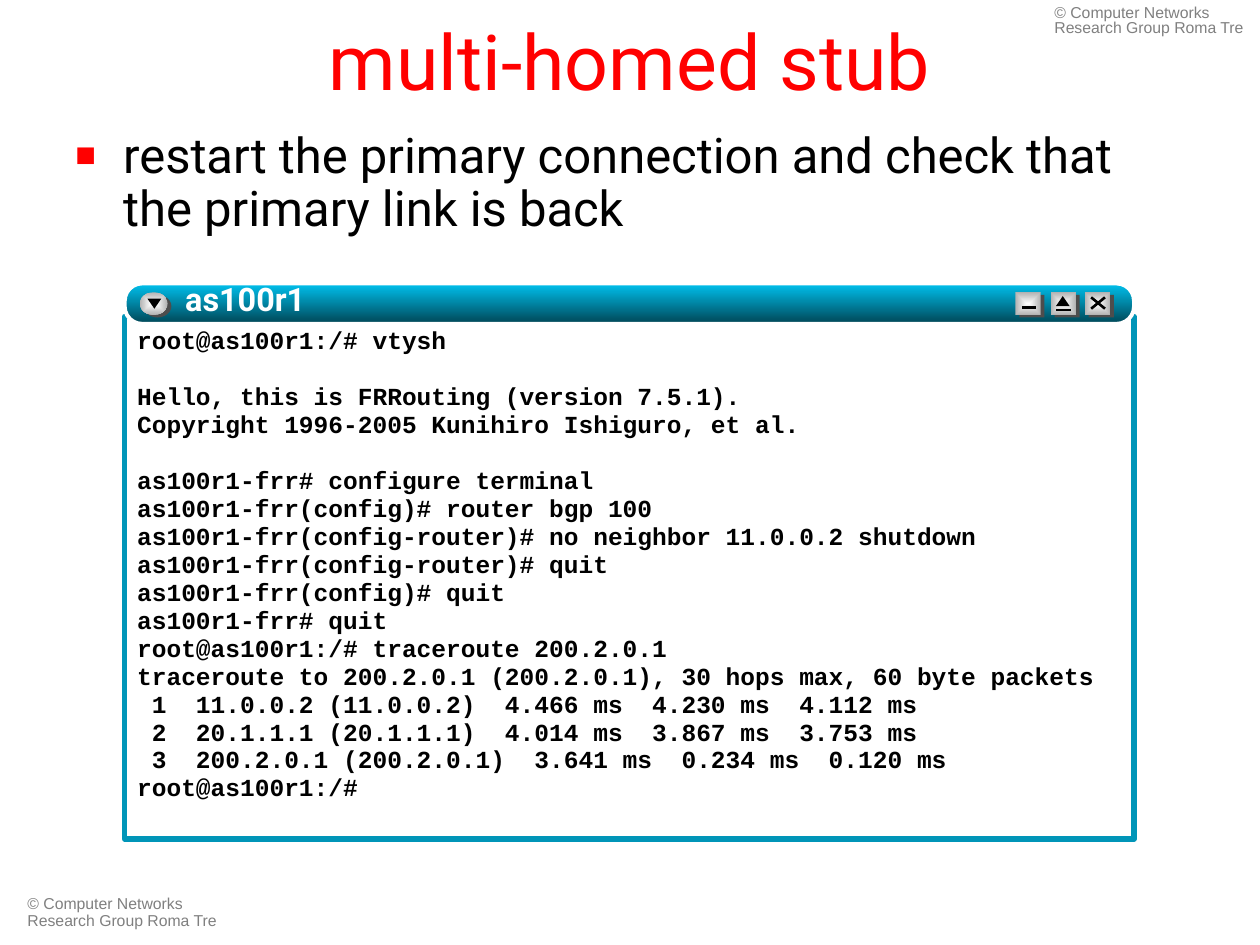
from lxml import etree
from pptx import Presentation
from pptx.dml.color import RGBColor
from pptx.enum.shapes import MSO_CONNECTOR, MSO_SHAPE as Shape
from pptx.enum.text import MSO_ANCHOR as Anchor, PP_ALIGN as Align
from pptx.oxml import parse_xml
from pptx.oxml.ns import nsdecls, qn
from pptx.util import Inches, Pt

RED = RGBColor(0xFF, 0x00, 0x00)
BLACK = RGBColor(0x00, 0x00, 0x00)
WHITE = RGBColor(0xFF, 0xFF, 0xFF)
GRAY = RGBColor(0x80, 0x80, 0x80)
DARK_GRAY = RGBColor(0x4D, 0x4D, 0x4D)
SILVER = RGBColor(0xB2, 0xB2, 0xB2)
TEAL = RGBColor(0x00, 0x95, 0xB8)
BAR_TOP = RGBColor(0x00, 0xC1, 0xEE)
BAR_BOTTOM = RGBColor(0x00, 0x46, 0x56)

CREDIT = "© Computer Networks Research Group Roma Tre"
TERMINAL_LINES = """root@as100r1:/# vtysh

Hello, this is FRRouting (version 7.5.1).
Copyright 1996-2005 Kunihiro Ishiguro, et al.

as100r1-frr# configure terminal
as100r1-frr(config)# router bgp 100
as100r1-frr(config-router)# no neighbor 11.0.0.2 shutdown
as100r1-frr(config-router)# quit
as100r1-frr(config)# quit
as100r1-frr# quit
root@as100r1:/# traceroute 200.2.0.1
traceroute to 200.2.0.1 (200.2.0.1), 30 hops max, 60 byte packets
 1  11.0.0.2 (11.0.0.2)  4.466 ms  4.230 ms  4.112 ms
 2  20.1.1.1 (20.1.1.1)  4.014 ms  3.867 ms  3.753 ms
 3  200.2.0.1 (200.2.0.1)  3.641 ms  0.234 ms  0.120 ms
root@as100r1:/#""".split("\n")


def add_filled(shapes, kind, box, *colors):
    """Add a borderless shape with a solid fill or a two-colour gradient."""
    shape = shapes.add_shape(kind, *map(Inches, box))
    shape.shadow.inherit = False
    shape.line.fill.background()
    if len(colors) == 1:
        shape.fill.solid()
        shape.fill.fore_color.rgb = colors[0]
    else:
        shape.fill.gradient()
        shape.fill.gradient_angle = 270
        for stop, color in zip(shape.fill.gradient_stops, colors):
            stop.color.rgb = color
    return shape


def add_text(shapes, box, text, font_name, size, color, spacing=1.0):
    """Add a wrapping text box that holds one run."""
    text_box = shapes.add_textbox(*map(Inches, box))
    text_box.text_frame.word_wrap = True
    paragraph = text_box.text_frame.paragraphs[0]
    paragraph.line_spacing = spacing
    run = paragraph.add_run()
    run.text = text
    run.font.name = font_name
    run.font.size = Pt(size)
    run.font.color.rgb = color
    return text_box


presentation = Presentation()
presentation.slide_width = Inches(10)
presentation.slide_height = Inches(7.5)
slide = presentation.slides.add_slide(presentation.slide_layouts[6])

# Credits at bottom left and top right
add_text(slide.shapes, (0.12, 7.06, 1.73, 0.36), CREDIT, "Arial", 9, GRAY, 0.9)
add_text(slide.shapes, (8.27, 0, 1.73, 0.36), CREDIT, "Arial", 9, GRAY, 0.8)

# Title
title = add_text(slide.shapes, (0.5, 0.05, 9, 0.85), "multi-homed stub", "Roboto", 44, RED)
title.text_frame.vertical_anchor = Anchor.MIDDLE
title.text_frame.paragraphs[0].alignment = Align.CENTER

# Bullet
body = add_text(slide.shapes, (0.5, 0.99, 9, 1.18),
                "restart the primary connection and check that the primary link is back",
                "Roboto", 28, BLACK, 0.9)
properties = body.text_frame.paragraphs[0]._p.get_or_add_pPr()
properties.set("marL", str(Inches(0.38)))
properties.set("indent", str(Inches(-0.38)))
bullet_color = etree.SubElement(properties, qn("a:buClr"))
etree.SubElement(bullet_color, qn("a:srgbClr"), val=str(RED))
etree.SubElement(properties, qn("a:buSzPct"), val="70000")
etree.SubElement(properties, qn("a:buFont"), typeface="Arial")
etree.SubElement(properties, qn("a:buChar"), char="■")

# Terminal window
window = slide.shapes.add_group_shape().shapes
terminal = add_filled(window, Shape.RECTANGLE, (0.99, 2.51, 8.01, 4.15), WHITE)
terminal.line.color.rgb = TEAL
terminal.line.width = Pt(3)
frame = terminal.text_frame
frame.word_wrap = True
frame.vertical_anchor = Anchor.TOP
frame.margin_top = Inches(0.09)
paragraph = frame.paragraphs[0]
for number, line in enumerate(TERMINAL_LINES):
    if not line:
        continue
    if number:
        paragraph = frame.add_paragraph()
        if not TERMINAL_LINES[number - 1]:
            paragraph.space_before = Pt(16)
    paragraph.alignment = Align.LEFT
    paragraph.line_spacing = 0.95
    run = paragraph.add_run()
    run.text = line
    run.font.name = "Courier New"
    run.font.size = Pt(14)
    run.font.bold = True
    run.font.color.rgb = BLACK

# Title bar
bar = add_filled(window, Shape.ROUNDED_RECTANGLE, (0.99, 2.25, 8.01, 0.32), BAR_TOP, BAR_BOTTOM)
bar.adjustments[0] = 0.43
bar.line.color.rgb = WHITE
bar.line.width = Pt(2.25)

# Buttons, each over its dark copy
for kind, left, width in ((Shape.OVAL, 1.11, 0.22), (Shape.RECTANGLE, 8.06, 0.2),
                          (Shape.RECTANGLE, 8.34, 0.2), (Shape.RECTANGLE, 8.61, 0.2)):
    add_filled(window, kind, (left + 0.03, 2.34, width, 0.18), DARK_GRAY)
    button = add_filled(window, kind, (left, 2.32, width, 0.18), WHITE, SILVER)
    linear = button._element.spPr.find(".//" + qn("a:lin"))
    linear.getparent().replace(linear, parse_xml(
        f'<a:path {nsdecls("a")} path="rect">'
        '<a:fillToRect l="50000" t="50000" r="50000" b="50000"/></a:path>'))

# Button symbols
menu = add_filled(window, Shape.ISOSCELES_TRIANGLE, (1.17, 2.37, 0.11, 0.08), BLACK)
menu.rotation = 180
add_filled(window, Shape.ISOSCELES_TRIANGLE, (8.38, 2.35, 0.11, 0.08), BLACK)
for ends in ((8.11, 2.44, 8.22, 2.44), (8.38, 2.46, 8.5, 2.46),
             (8.66, 2.45, 8.77, 2.36), (8.66, 2.36, 8.77, 2.45)):
    stroke = window.add_connector(MSO_CONNECTOR.STRAIGHT, *map(Inches, ends))
    stroke.line.color.rgb = BLACK
    stroke.line.width = Pt(1.5)
    etree.SubElement(stroke._element.spPr, qn("a:effectLst"))

# Window name with a text shadow
name = add_text(window, (1.47, 2.25, 2.6, 0.32), "as100r1", "Roboto", 18.5, WHITE, 0.9)
frame = name.text_frame
frame.margin_left = frame.margin_top = frame.margin_right = frame.margin_bottom = 0
font = frame.paragraphs[0].runs[0].font
font.bold = True
font._element.find(qn("a:solidFill")).addnext(parse_xml(
    f'<a:effectLst {nsdecls("a")}><a:outerShdw dist="17961" dir="2700000">'
    '<a:srgbClr val="000000"/></a:outerShdw></a:effectLst>'))

presentation.save("out.pptx")
